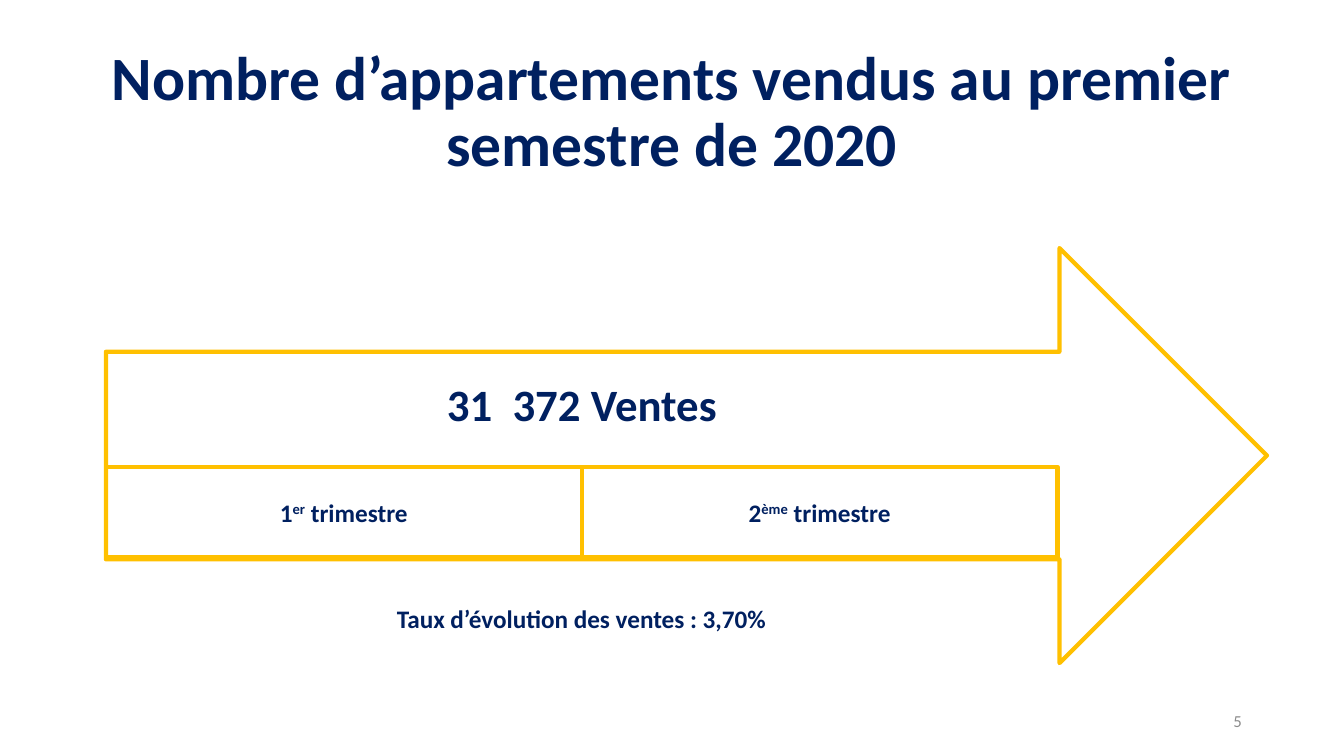
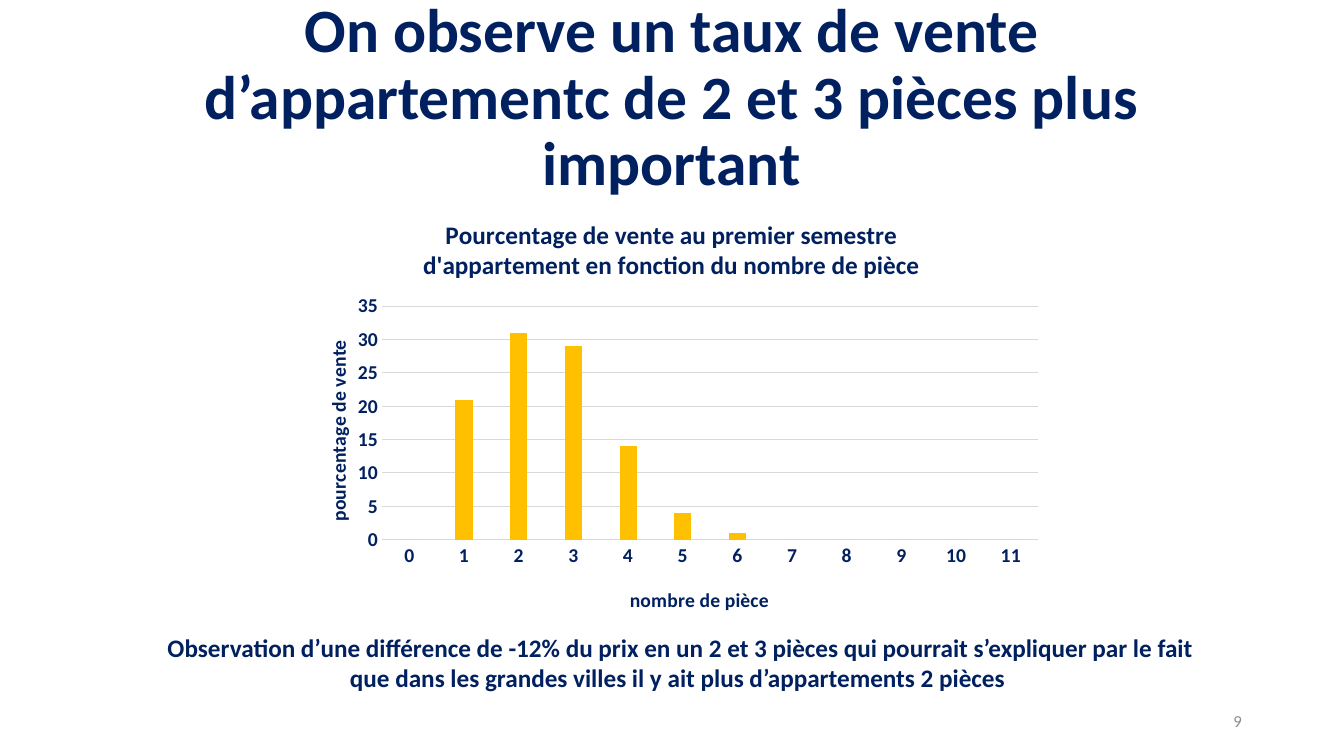
from lxml import etree
from pptx import Presentation
from pptx import util as u
from pptx.chart import data
from pptx.dml.color import RGBColor
from pptx.enum import chart as kinds, shapes, text
from pptx.oxml import ns

NAVY = RGBColor(0x00, 0x20, 0x60)
GOLD = RGBColor(0xFF, 0xC0, 0x00)
GREY = RGBColor(0x8C, 0x8C, 0x8C)
RULE = RGBColor(0xD9, 0xD9, 0xD9)
FONT = "Calibri"
CENTER = text.PP_ALIGN.CENTER
MIDDLE = text.MSO_ANCHOR.MIDDLE


def write(frame, words, size=18, color=NAVY, bold=True, align=CENTER, spacing=None):
    """Fill a text frame: a line per paragraph, ^...^ marks superscript."""
    for row, line in enumerate(words.split("\n")):
        para = frame.add_paragraph() if row else frame.paragraphs[0]
        para.alignment = align
        if spacing:
            para.line_spacing = spacing
        for index, part in enumerate(line.split("^")):
            span = para.add_run()
            span.text = part
            span.font.name, span.font.size = FONT, u.Pt(size)
            span.font.bold, span.font.color.rgb = bold, color
            if index % 2:
                span.font._element.set("baseline", "30000")


def place(element, **fractions):
    """Give a chart part a manual layout, in fractions of the chart."""
    layout = element.find(ns.qn("c:layout"))
    if layout is None:
        layout = etree.Element(ns.qn("c:layout"))
        element.insert(0, layout)
    manual = etree.SubElement(layout, ns.qn("c:manualLayout"))
    if "w" in fractions:
        etree.SubElement(manual, ns.qn("c:layoutTarget")).set("val", "inner")
    for side in ("x", "y"):
        etree.SubElement(manual, ns.qn(f"c:{side}Mode")).set("val", "edge")
    for name, value in fractions.items():
        etree.SubElement(manual, ns.qn(f"c:{name}")).set("val", str(value))


deck = Presentation()
deck.slide_width, deck.slide_height = u.Cm(33.87), u.Cm(19.05)

# Shared parts: title and page number
pages = []
for heading, top, number in (
    ("Nombre d’appartements vendus au premier semestre de 2020", 1.02, "5"),
    ("On observe un taux de vente d’appartementc de 2 et 3 pièces plus important", 0.66, "9"),
):
    page = deck.slides.add_slide(deck.slide_layouts[5])
    title = page.shapes.title
    title.left, title.top = u.Cm(2.33), u.Cm(top)
    title.width, title.height = u.Cm(29.21), u.Cm(3.68)
    title.text_frame.auto_size = text.MSO_AUTO_SIZE.NONE
    title.text_frame.vertical_anchor = MIDDLE
    write(title.text_frame, heading, size=44, spacing=0.9)
    box = page.shapes.add_textbox(u.Cm(23.93), u.Cm(17.65), u.Cm(7.62), u.Cm(1.02))
    box.text_frame.word_wrap = True
    box.text_frame.vertical_anchor = MIDDLE
    write(box.text_frame, number, size=12, color=GREY, bold=False, align=text.PP_ALIGN.RIGHT)
    pages.append(page)
sales_page, rooms_page = pages

# Arrow with the two quarters
LEFT, QUARTER = 2.67, 11.99
ARROW, RECT = shapes.MSO_SHAPE.RIGHT_ARROW, shapes.MSO_SHAPE.RECTANGLE
for preset, left, top, width, height, words in (
    (ARROW, LEFT, 6.25, 29.26, 10.46, ""),
    (RECT, LEFT, 11.76, QUARTER, 2.29, "1^er^ trimestre"),
    (RECT, LEFT + QUARTER, 11.76, QUARTER, 2.29, "2^ème^ trimestre"),
):
    shape = sales_page.shapes.add_shape(preset, u.Cm(left), u.Cm(top), u.Cm(width), u.Cm(height))
    shape.shadow.inherit = False
    shape.fill.background()
    shape.line.color.rgb, shape.line.width = GOLD, u.Pt(3)
    if words:
        shape.text_frame.vertical_anchor = MIDDLE
        write(shape.text_frame, words)

# Key figures and observation
for page, left, top, width, height, size, words in (
    (sales_page, 10.97, 9.37, 7.39, 1.63, 32, "31  372 Ventes"),
    (sales_page, 9.7, 15.09, 9.91, 1.02, 18, "Taux d’évolution des ventes : 3,70%"),
    (rooms_page, 3.53, 15.8, 27.25, 1.8, 18,
     "Observation d’une différence de -12% du prix en un 2 et 3 pièces qui pourrait s’expliquer par le fait\n"
     "que dans les grandes villes il y ait plus d’appartements 2 pièces "),
):
    box = page.shapes.add_textbox(u.Cm(left), u.Cm(top), u.Cm(width), u.Cm(height))
    box.text_frame.word_wrap = False
    write(box.text_frame, words, size=size)

# Column chart of sales by number of rooms
rooms = data.CategoryChartData()
rooms.categories = [str(count) for count in range(12)]
rooms.add_series("Series 1", (0, 21, 31, 29, 14, 4, 1, 0, 0, 0, 0, 0))
chart = rooms_page.shapes.add_chart(
    kinds.XL_CHART_TYPE.COLUMN_CLUSTERED,
    u.Cm(7.32), u.Cm(4.88), u.Cm(19.23), u.Cm(10.9), rooms).chart
chart.has_legend = False
chart.font.name, chart.font.size = FONT, u.Pt(10)
plot = chart.plots[0]
plot.gap_width, plot.overlap, plot.vary_by_categories = 219, -27, False
fill = plot.series[0].format.fill
fill.solid()
fill.fore_color.rgb = GOLD

# Axes and chart titles
across, up = chart.category_axis, chart.value_axis
for axis in (across, up):
    axis.major_tick_mark = axis.minor_tick_mark = kinds.XL_TICK_MARK.NONE
    font = axis.tick_labels.font
    font.name, font.size, font.bold, font.color.rgb = FONT, u.Pt(14), True, NAVY
across.format.line.color.rgb, across.format.line.width = RULE, u.Pt(0.75)
up.format.line.fill.background()
up.minimum_scale, up.maximum_scale, up.major_unit = 0, 35, 5
grid = up.major_gridlines.format.line
grid.color.rgb, grid.width = RULE, u.Pt(0.75)
for caption, words, size, x, y in (
    (chart.chart_title,
     "Pourcentage de vente au premier semestre\nd'appartement en fonction du nombre de pièce", 18, 0.17, 0.05),
    (across.axis_title, "nombre de pièce", 14, 0.44, 0.9),
    (up.axis_title, "pourcentage de vente", 14, 0.04, 0.33),
):
    write(caption.text_frame, words, size=size)
    place(caption._element, x=x, y=y)
place(plot._element.getparent(), x=0.12, y=0.26, w=0.86, h=0.54)

deck.save("out.pptx")
